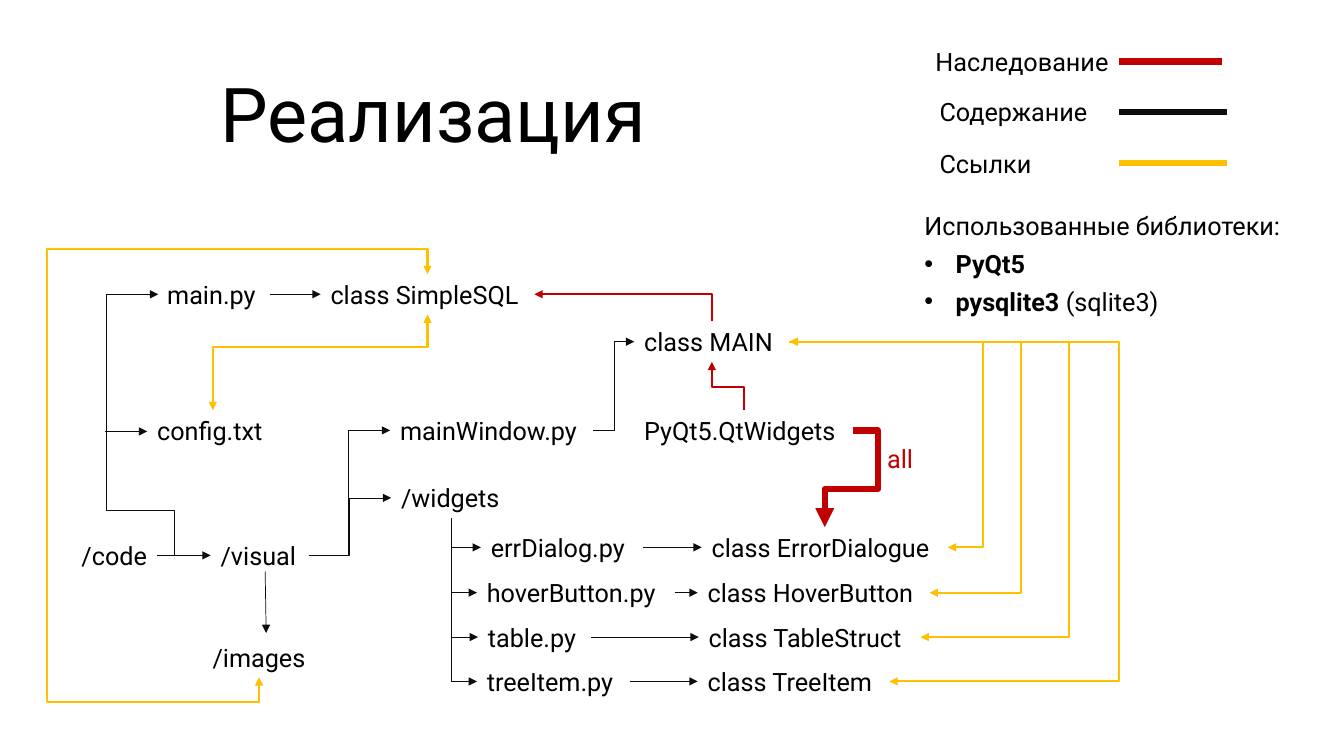
from pptx import Presentation
from pptx import util as u
from pptx.dml import color
from pptx.enum import shapes, text
from pptx.oxml import ns
from lxml import etree

BLACK, INK, RED, GOLD = "000000", "0D0D0D", "C00000", "FFC000"
TOP, LEFT, BOTTOM, RIGHT = range(4)


def rgb(value):
    return color.RGBColor.from_string(value)


def child(parent, tag, **attributes):
    return etree.SubElement(parent, ns.qn(tag), attributes)


def add_span(para, content, font="Roboto", size=18, fill=BLACK, bold=False):
    span = para.add_run()
    span.text = content
    span.font.name = font
    span.font.size = u.Pt(size)
    span.font.bold = bold
    span.font.color.rgb = rgb(fill)


class Diagram:
    def __init__(self, page):
        self.page = page

    def frame(self, left, top, width, height, wrap):
        box = self.page.shapes.add_textbox(*map(u.Inches, (left, top, width, height)))
        box.text_frame.word_wrap = wrap
        box.text_frame.auto_size = text.MSO_AUTO_SIZE.SHAPE_TO_FIT_TEXT
        return box

    def label(self, content, left, top, width, height=0.4, wrap=False, **style):
        box = self.frame(left, top, width, height, wrap)
        add_span(box.text_frame.paragraphs[0], content, **style)
        return box

    def bullet_list(self, heading, items, left, top, width, height):
        box = self.frame(left, top, width, height, True)
        add_span(box.text_frame.paragraphs[0], heading)
        for name, note in items:
            para = box.text_frame.add_paragraph()
            para.line_spacing = 1.25
            properties = para._p.get_or_add_pPr()
            properties.set("marL", str(u.Inches(0.31)))
            properties.set("indent", str(-u.Inches(0.31)))
            child(properties, "a:buFont", typeface="Arial")
            child(properties, "a:buChar", char="•")
            add_span(para, name, bold=True)
            if note:
                add_span(para, note)

    def finish(self, connector, fill, weight, head, tail):
        connector.line.color.rgb = rgb(fill)
        connector.line.width = u.Pt(weight)
        outline = connector.line._get_or_add_ln()
        for shown, tag in ((head, "a:headEnd"), (tail, "a:tailEnd")):
            if shown:
                child(outline, tag, type="triangle")
        child(connector.element.spPr, "a:effectLst")

    def line(self, x1, y1, x2, y2, fill=INK, weight=0.5, tail=True):
        ends = map(u.Inches, (x1, y1, x2, y2))
        connector = self.page.shapes.add_connector(shapes.MSO_CONNECTOR.STRAIGHT, *ends)
        self.finish(connector, fill, weight, False, tail)

    def join(self, kind, start, start_side, end, end_side):
        connector = self.page.shapes.add_connector(kind, 0, 0, 0, 0)
        connector.begin_connect(start, start_side)
        connector.end_connect(end, end_side)
        return connector

    def arrow(self, start, end):
        connector = self.join(shapes.MSO_CONNECTOR.STRAIGHT, start, RIGHT, end, LEFT)
        self.finish(connector, INK, 0.5, False, True)

    def elbow(self, start, start_side, end, end_side, turns=(),
              fill=INK, weight=0.5, head=False):
        connector = self.join(shapes.MSO_CONNECTOR.ELBOW, start, start_side, end, end_side)
        begin = (connector.begin_x, connector.begin_y)
        delta = (connector.end_x - begin[0], connector.end_y - begin[1])
        across, down = delta
        vertical = start_side in (TOP, BOTTOM)
        geometry = connector.element.spPr.find(ns.qn("a:prstGeom"))
        geometry.set("prst", f"bentConnector{len(turns) + 2}")
        guides = geometry.find(ns.qn("a:avLst"))
        for index, turn in enumerate(turns):
            axis = (index + vertical) % 2
            ratio = (u.Inches(turn) - begin[axis]) / delta[axis]
            child(guides, "a:gd", name=f"adj{index + 1}", fmla=f"val {round(ratio * 100000)}")
        if vertical:
            self.rotate(connector, begin, across, down)
        self.finish(connector, fill, weight, head, True)

    def rotate(self, connector, begin, across, down):
        quarter = across * down < 0
        connector.width, connector.height = abs(down), abs(across)
        connector.left = begin[0] + (across - abs(down)) // 2
        connector.top = begin[1] + (down - abs(across)) // 2
        frame = connector.element.spPr.find(ns.qn("a:xfrm"))
        frame.set("rot", str((90 if quarter else 270) * 60000))
        frame.set("flipH", str(int((down < 0) == quarter)))
        frame.set("flipV", str(int((across > 0) == quarter)))


def main():
    deck = Presentation()
    deck.slide_width, deck.slide_height = u.Inches(13.33), u.Inches(7.5)
    diagram = Diagram(deck.slides.add_slide(deck.slide_layouts[6]))
    label, arrow, elbow = diagram.label, diagram.arrow, diagram.elbow

    label("Реализация", 2.09, 0.61, 4.47, 1.01, size=54)
    legend = (
        ("Наследование", 9.18, 0.41, 1.92, RED, 12.12),
        ("Содержание", 9.22, 0.91, 1.8, INK, 12.17),
        ("Ссылки", 9.22, 1.42, 1.21, GOLD, 12.17),
    )
    for name, left, top, width, fill, right in legend:
        label(name, left, top, width)
        diagram.line(11.1, top + 0.2, right, top + 0.2, fill, 4.5, False)
    libraries = (("PyQt5", ""), ("pysqlite3", " (sqlite3)"))
    diagram.bullet_list("Использованные библиотеки:", libraries, 9.07, 2.04, 3.9, 1.13)

    code = label("/code", 0.71, 5.31, 0.85, wrap=True)
    main_file = label("main.py", 1.56, 2.72, 1.12, wrap=True)
    visual = label("/visual", 2.09, 5.31, 0.97, wrap=True)
    images = label("/images", 2.01, 6.32, 1.12, wrap=True)
    config = label("config.txt", 1.46, 4.07, 1.3, wrap=True)
    window = label("mainWindow.py", 3.87, 4.07, 2.01, wrap=True)
    main_class = label("class MAIN", 6.29, 3.19, 1.54, wrap=True)
    widgets = label("/widgets", 3.88, 4.74, 1.2, wrap=True)
    qt_widgets = label("PyQt5.QtWidgets", 6.29, 4.07, 2.17)
    simple_sql = label("class SimpleSQL", 3.18, 2.72, 2.12)
    label("all", 8.7, 4.35, 0.48, fill=RED)

    main_file.left = u.Inches(1.57)
    elbow(code, RIGHT, main_file, LEFT, (1.73, 5.06, 1.05))
    main_file.left = u.Inches(1.56)
    arrow(code, visual)
    diagram.line(2.63, 5.67, 2.64, 6.28)
    diagram.line(1.04, 4.28, 1.46, 4.28)
    arrow(main_file, simple_sql)
    elbow(visual, RIGHT, window, LEFT, (3.46,))
    elbow(visual, RIGHT, widgets, LEFT, (3.47,))
    elbow(window, RIGHT, main_class, LEFT, (6.09,))

    modules = (
        ("errDialog.py", 4.77, 1.61, "class ErrorDialogue", 6.96, 2.44, 5.23, 9.75, True),
        ("hoverButton.py", 4.73, 1.96, "class HoverButton", 6.92, 2.3, 5.68, 10.13, False),
        ("table.py", 4.74, 1.12, "class TableStruct", 6.93, 2.2, 6.12, 10.6, True),
        ("treeItem.py", 4.73, 1.52, "class TreeItem", 6.92, 1.9, 6.56, 11.1, False),
    )
    classes = []
    for file, left, width, name, class_left, class_width, top, turn, head in modules:
        module = label(file, left, top, width)
        widget = label(name, class_left, top, class_width)
        elbow(widgets, BOTTOM, module, LEFT)
        arrow(module, widget)
        elbow(main_class, RIGHT, widget, RIGHT, (turn,), GOLD, 1.5, head)
        classes.append(widget)

    elbow(main_class, TOP, simple_sql, RIGHT, (), RED, 1.5)
    elbow(qt_widgets, TOP, main_class, BOTTOM, (3.84,), RED, 1.5)
    elbow(qt_widgets, RIGHT, classes[0], TOP, (8.71, 4.85), RED, 4.5)
    elbow(images, BOTTOM, simple_sql, TOP, (6.97, 0.47, 2.47), GOLD, 1.5, True)
    elbow(simple_sql, BOTTOM, config, TOP, (3.44,), GOLD, 1.5, True)
    deck.save("out.pptx")


if __name__ == "__main__":
    main()
